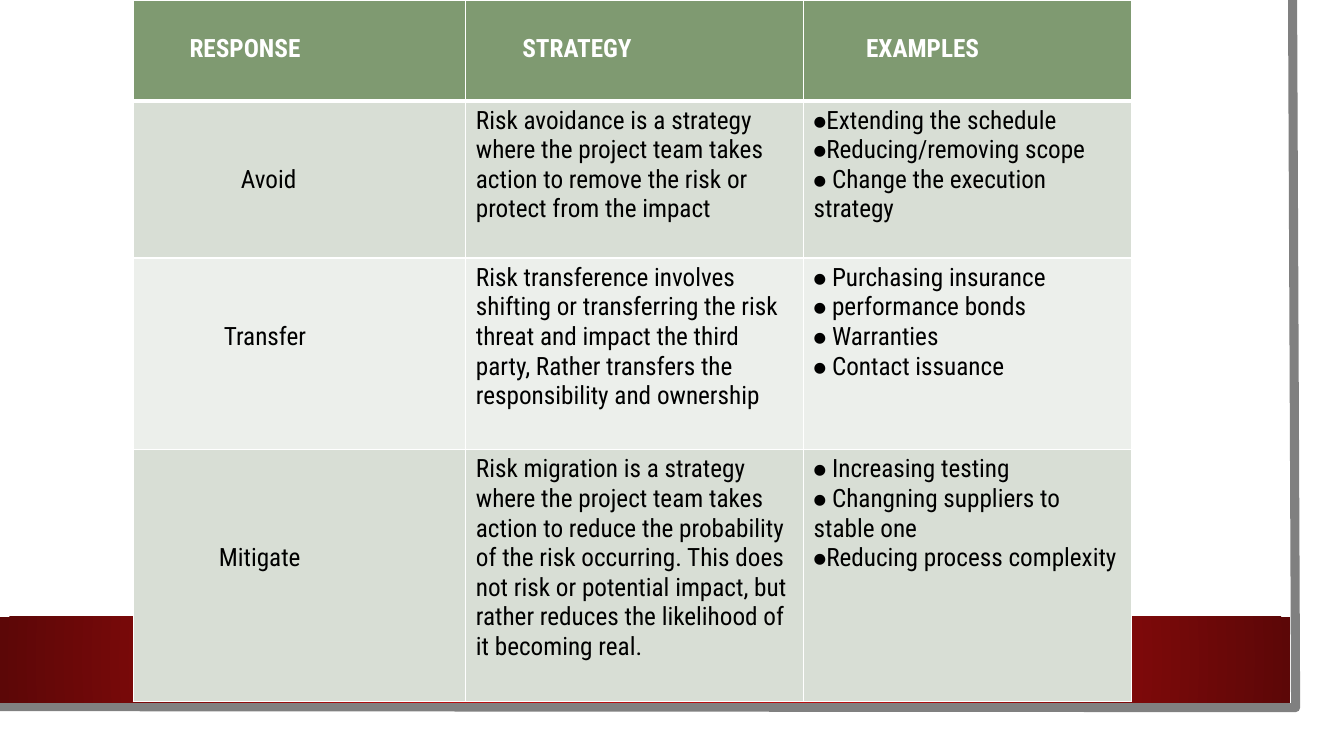
import pptx
import pptx.util
import pptx.dml.color
import pptx.enum.shapes
import pptx.oxml
import pptx.oxml.ns

Inches = pptx.util.Inches
COLORS = {
    "white": "FFFFFF",
    "black": "000000",
    "edge": "808080",
    "red": "B80E0F",
    "dark_red": "5C0707",
    "header": "7F9A71",
    "odd": "D8DED5",
    "even": "ECEFEB",
}
NAMESPACE = pptx.oxml.ns.nsdecls("a")


def rgb(name):
    return pptx.dml.color.RGBColor.from_string(COLORS[name])


def write(cell, text, left=0.1, top=0.05, color="black", bold=False):
    cell.margin_left, cell.margin_top = Inches(left), Inches(top)
    frame = cell.text_frame
    frame.word_wrap = True
    for index, line in enumerate(text.split("\n")):
        para = frame.paragraphs[0] if index == 0 else frame.add_paragraph()
        span = para.add_run()
        span.text = line
        span.font.name = "Roboto Condensed"
        span.font.size = pptx.util.Pt(18)
        span.font.bold = bold
        span.font.color.rgb = rgb(color)


deck = pptx.Presentation()
deck.slide_width, deck.slide_height = Inches(13.33), Inches(7.5)
page = deck.slides.add_slide(deck.slide_layouts[6])
rectangle = pptx.enum.shapes.MSO_SHAPE.RECTANGLE

sheet = page.shapes.add_shape(rectangle, 0, 0, Inches(13.1), Inches(7.27))
sheet.shadow.inherit = False
sheet.fill.solid()
sheet.fill.fore_color.rgb = rgb("white")
sheet.line.fill.background()

outline = page.shapes.build_freeform(Inches(12.82), 0)
outline.add_line_segments(
    [(Inches(12.85), Inches(7.02)), (Inches(-0.03), Inches(7.01))], close=False
)
edge = outline.convert_to_shape()
edge.shadow.inherit = False
edge.fill.background()
edge.line.color.rgb = rgb("edge")
edge.line.width = pptx.util.Pt(6.5)

band = page.shapes.add_shape(rectangle, 0, Inches(6.12), Inches(12.8), Inches(0.85))
band.shadow.inherit = False
band.line.fill.background()
band.fill.gradient()
gradient = band.fill.gradient_stops
for stop, (name, position) in zip(gradient, [("red", 0.34), ("dark_red", 1)]):
    stop.color.rgb = rgb(name)
    stop.position = position
grad_fill = band.element.spPr.find(pptx.oxml.ns.qn("a:gradFill"))
linear = grad_fill.find(pptx.oxml.ns.qn("a:lin"))
radial = pptx.oxml.parse_xml(
    f'<a:path {NAMESPACE} path="circle">'
    '<a:fillToRect l="50000" t="50000" r="50000" b="50000"/></a:path>'
)
grad_fill.replace(linear, radial)

headings = [("RESPONSE", 0.56), ("STRATEGY", 0.56), ("EXAMPLES", 0.62)]
responses = [
    (
        ("Avoid", 1.07, 0.64),
        "Risk avoidance is a strategy where the project team takes action "
        "to remove the risk or protect from the impact",
        "⦁Extending the schedule\n⦁Reducing/removing scope\n"
        "⦁ Change the execution strategy",
    ),
    (
        ("Transfer", 0.9, 0.64),
        "Risk transference involves shifting or transferring the risk threat "
        "and impact the third party, Rather transfers the responsibility "
        "and ownership",
        "⦁ Purchasing insurance\n⦁ performance bonds\n⦁ Warranties\n"
        "⦁ Contact issuance",
    ),
    (
        ("Mitigate", 0.85, 0.93),
        "Risk migration is a strategy where the project team takes action "
        "to reduce the probability of the risk occurring. This does not risk "
        "or potential impact, but rather reduces the likelihood of it "
        "becoming real.",
        "⦁ Increasing testing\n⦁ Changning suppliers to stable one\n"
        "⦁Reducing process complexity",
    ),
]

table = page.shapes.add_table(
    4, 3, Inches(1.32), 0, Inches(9.9), Inches(6.96)
).table
for column, width in zip(table.columns, [3.3, 3.35, 3.25]):
    column.width = Inches(width)
for row, height in zip(table.rows, [1, 1.56, 1.9, 2.5]):
    row.height = Inches(height)

for index, (heading, left) in enumerate(headings):
    write(table.cell(0, index), heading, left=left, top=0.34, color="white", bold=True)
for index, ((response, left, top), strategy, examples) in enumerate(responses, 1):
    write(table.cell(index, 0), response, left=left, top=top)
    write(table.cell(index, 1), strategy)
    write(table.cell(index, 2), examples)

for row_index, fill in enumerate(["header", "odd", "even", "odd"]):
    for cell in table.rows[row_index].cells:
        properties = cell._tc.get_or_add_tcPr()
        for side in "LRTB":
            thick = (row_index, side) in [(0, "B"), (1, "T")]
            width = pptx.util.Pt(3 if thick else 1)
            properties.append(pptx.oxml.parse_xml(
                f'<a:ln{side} {NAMESPACE} w="{width}"><a:solidFill>'
                f'<a:srgbClr val="{COLORS["white"]}"/></a:solidFill></a:ln{side}>'
            ))
        cell.fill.solid()
        cell.fill.fore_color.rgb = rgb(fill)

deck.save("out.pptx")
